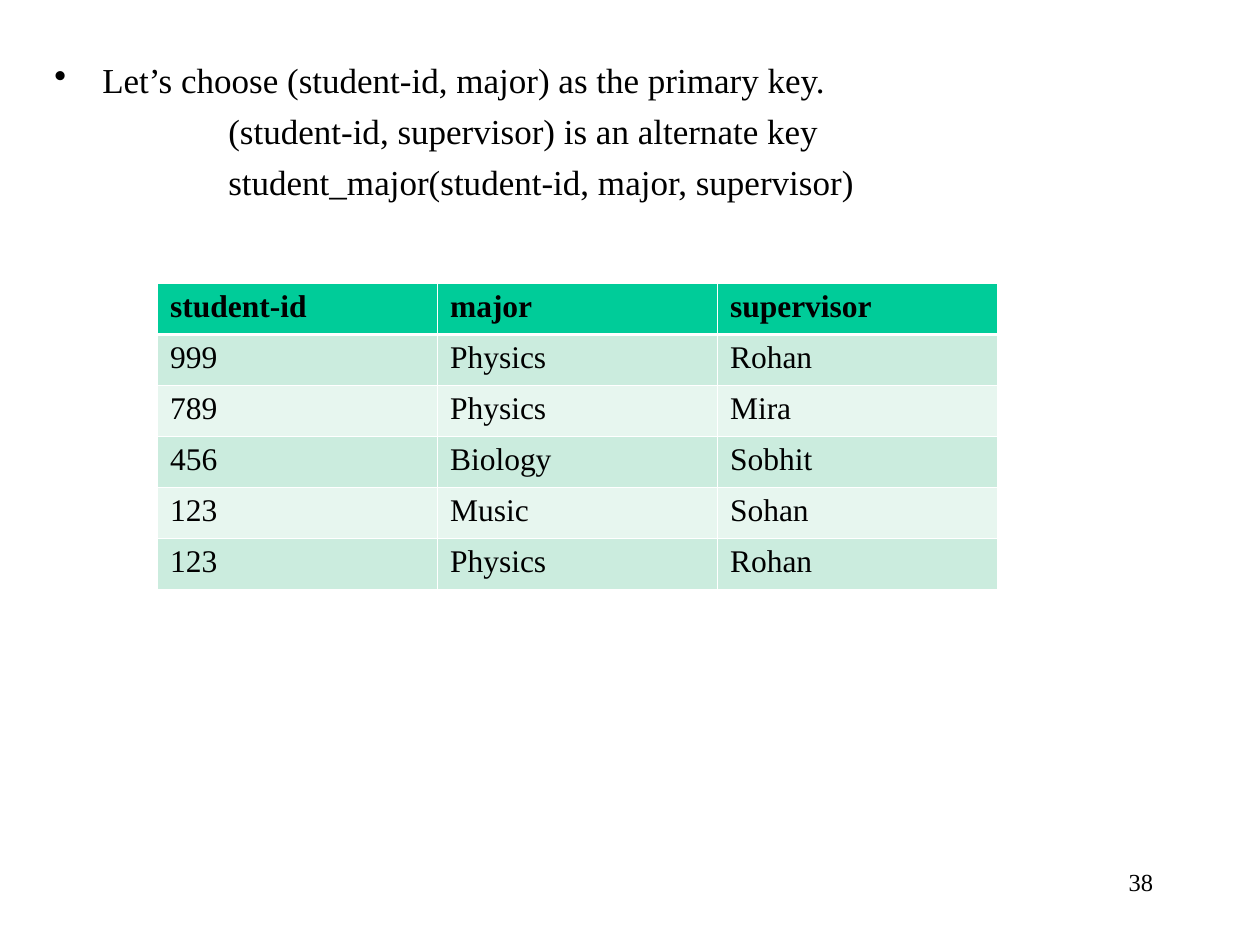
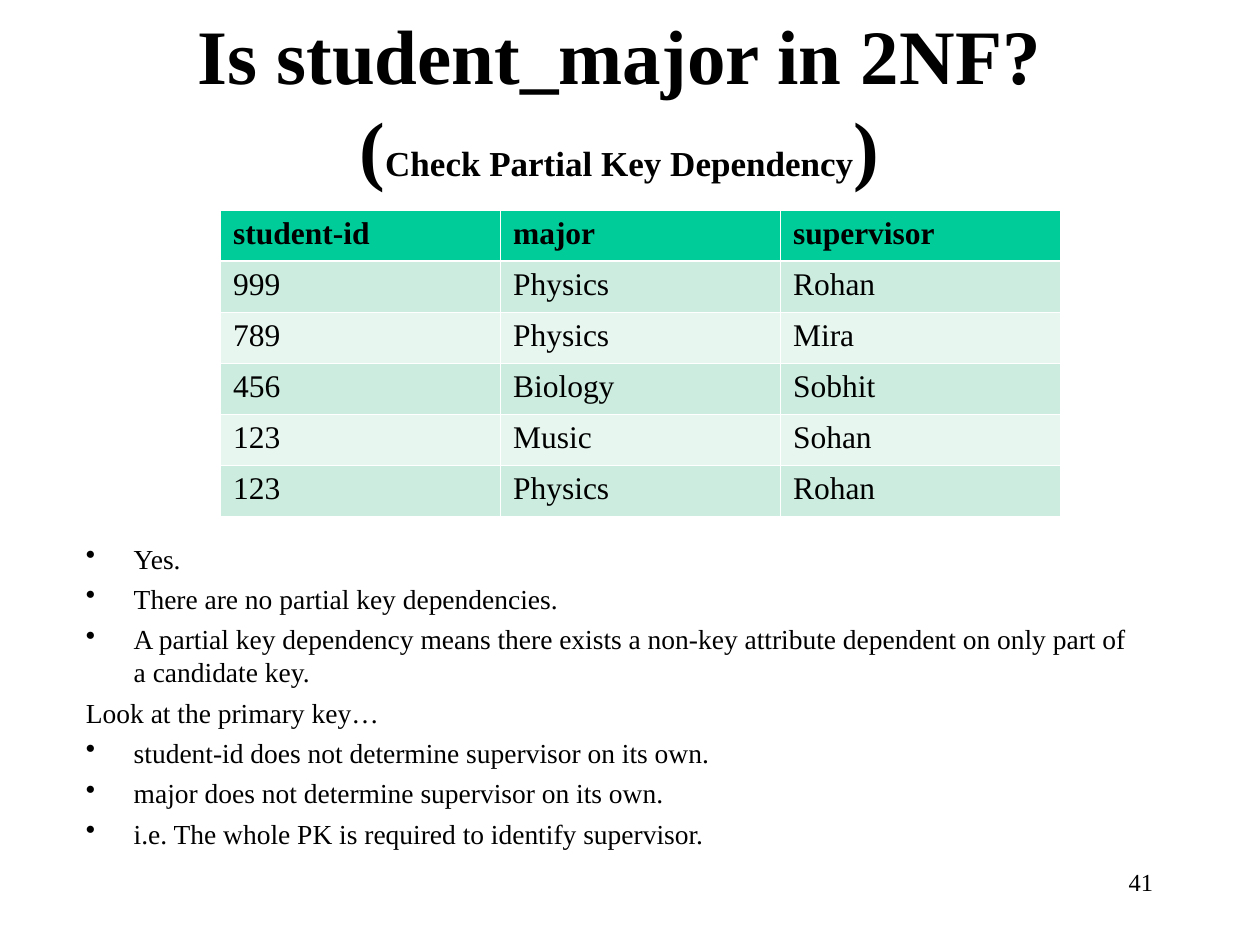
"""Builds two slides on the keys and the 2NF check of student_major."""
from dataclasses import dataclass

from lxml import etree
from pptx import Presentation
from pptx.dml.color import RGBColor
from pptx.enum.text import MSO_ANCHOR, PP_ALIGN
from pptx.oxml.ns import qn
from pptx.util import Inches, Pt

LEFT, CENTER, RIGHT = PP_ALIGN.LEFT, PP_ALIGN.CENTER, PP_ALIGN.RIGHT
TOP, MIDDLE = MSO_ANCHOR.TOP, MSO_ANCHOR.MIDDLE
CELL = Inches(1) // 12
HANGING = Inches(0.38)
TAB = Inches(1)


@dataclass(frozen=True)
class Theme:
    """Colours, font and type sizes shared by the slides."""
    font: str = "Times New Roman"
    ink: str = "000000"
    rule: str = "FFFFFF"
    header: str = "00CC99"
    bands: tuple = ("CBECDE", "E7F6EF")
    title: float = 44
    lead: float = 20
    table: float = 18
    body: float = 15.7
    number: float = 14
    thin: float = 0.45
    thick: float = 1.47


THEME = Theme()

STUDENT_MAJOR = [
    ("student-id", "major", "supervisor"),
    ("999", "Physics", "Rohan"),
    ("789", "Physics", "Mira"),
    ("456", "Biology", "Sobhit"),
    ("123", "Music", "Sohan"),
    ("123", "Physics", "Rohan"),
]
KEY_CHOICE = [
    ("bullet", "Let’s choose (student-id, major) as the primary key."),
    ("indented", "(student-id, supervisor) is an alternate key"),
    ("indented", "student_major(student-id, major, supervisor)"),
]
PARTIAL_KEY_CHECK = [
    ("bullet", "Yes."),
    ("bullet", "There are no partial key dependencies."),
    ("bullet", "A partial key dependency means there exists a non-key attribute "
               "dependent on only part of a candidate key."),
    ("plain", "Look at the primary key…"),
    ("bullet", "student-id does not determine supervisor on its own."),
    ("bullet", "major does not determine supervisor on its own."),
    ("bullet", "i.e. The whole PK is required to identify supervisor."),
]
INDENTS = {
    "bullet": (HANGING, -HANGING),
    "plain": (HANGING, -HANGING),
    "indented": (HANGING + TAB, 0),
}


def write(paragraph, text, size, bold=False, align=LEFT):
    """Append a formatted run to a paragraph."""
    paragraph.alignment = align
    run = paragraph.add_run()
    run.text = text
    run.font.name = THEME.font
    run.font.size = Pt(size)
    run.font.bold = bold
    run.font.color.rgb = RGBColor.from_string(THEME.ink)


def add_frame(slide, columns, rows, anchor=TOP):
    """Add a wrapping text frame spanning (start, count) columns and rows."""
    left, width = (CELL * n for n in columns)
    top, height = (CELL * n for n in rows)
    frame = slide.shapes.add_textbox(left, top, width, height).text_frame
    frame.word_wrap = True
    frame.vertical_anchor = anchor
    return frame


def set_indent(paragraph, kind):
    """Set the indents of a paragraph and its bullet mark."""
    margin, first = INDENTS[kind]
    properties = paragraph._p.get_or_add_pPr()
    properties.set("marL", str(margin))
    properties.set("indent", str(first))
    if kind == "bullet":
        etree.SubElement(properties, qn("a:buChar"), char="•")
    else:
        etree.SubElement(properties, qn("a:buNone"))


def add_points(slide, points, columns, rows, size, gap):
    """Add a list of points with equal gaps between them."""
    frame = add_frame(slide, columns, rows)
    for index, (kind, text) in enumerate(points):
        paragraph = frame.add_paragraph() if index else frame.paragraphs[0]
        set_indent(paragraph, kind)
        if index:
            paragraph.space_before = Pt(gap)
        write(paragraph, text, size)


def add_title(slide, question, hint):
    """Add a question with a smaller hint in brackets below it."""
    heading = add_frame(slide, (8, 102), (2, 15), MIDDLE).paragraphs[0]
    write(heading, question, THEME.title, bold=True, align=CENTER)
    heading.add_line_break()
    for text, size in (("(", THEME.title), (hint, THEME.lead), (")", THEME.title)):
        write(heading, text, size, bold=True, align=CENTER)


def add_page_number(slide, number):
    """Add the page number at the lower right."""
    frame = add_frame(slide, (86, 25), (82, 6))
    write(frame.paragraphs[0], str(number), THEME.number, align=RIGHT)


def set_borders(cell, top, bottom):
    """Rule the four sides of a table cell."""
    properties = cell._tc.get_or_add_tcPr()
    sides = {"lnL": THEME.thin, "lnR": THEME.thin, "lnT": top, "lnB": bottom}
    for side, width in sides.items():
        line = etree.SubElement(properties, qn(f"a:{side}"), w=str(Pt(width)))
        fill = etree.SubElement(line, qn("a:solidFill"))
        etree.SubElement(fill, qn("a:srgbClr"), val=THEME.rule)


def add_student_table(slide, column, row):
    """Add the student_major relation at a grid position."""
    table = slide.shapes.add_table(
        len(STUDENT_MAJOR), len(STUDENT_MAJOR[0]),
        CELL * column, CELL * row, CELL * 80, Inches(2.43)).table
    for r, record in enumerate(STUDENT_MAJOR):
        color = THEME.bands[(r - 1) % 2] if r else THEME.header
        for c, value in enumerate(record):
            cell = table.cell(r, c)
            set_borders(cell, THEME.thick if r == 1 else THEME.thin,
                        THEME.thick if r == 0 else THEME.thin)
            cell.fill.solid()
            cell.fill.fore_color.rgb = RGBColor.from_string(color)
            write(cell.text_frame.paragraphs[0], value, THEME.table, bold=r == 0)


def main():
    """Build and save the slides."""
    deck = Presentation()
    deck.slide_width, deck.slide_height = CELL * 120, CELL * 90
    blank = deck.slide_layouts[6]

    keys = deck.slides.add_slide(blank)
    add_points(keys, KEY_CHOICE, (4, 106), (5, 54), THEME.lead, gap=5)
    add_page_number(keys, 38)
    add_student_table(keys, 15, 27)

    second_form = deck.slides.add_slide(blank)
    add_title(second_form, "Is student_major in 2NF?", "Check Partial Key Dependency")
    add_points(second_form, PARTIAL_KEY_CHECK, (7, 102), (51, 32), THEME.body, gap=4.2)
    add_page_number(second_form, 41)
    add_student_table(second_form, 21, 20)

    deck.save("out.pptx")


if __name__ == "__main__":
    main()
